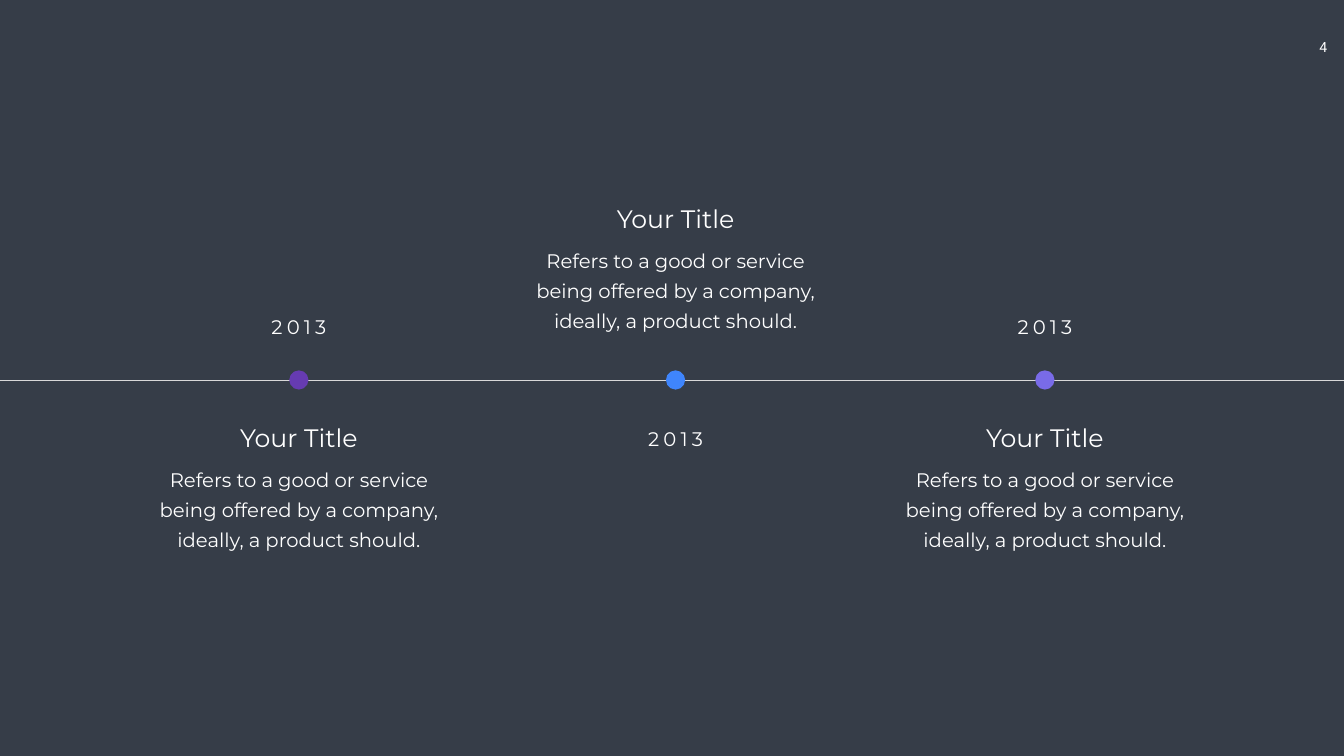
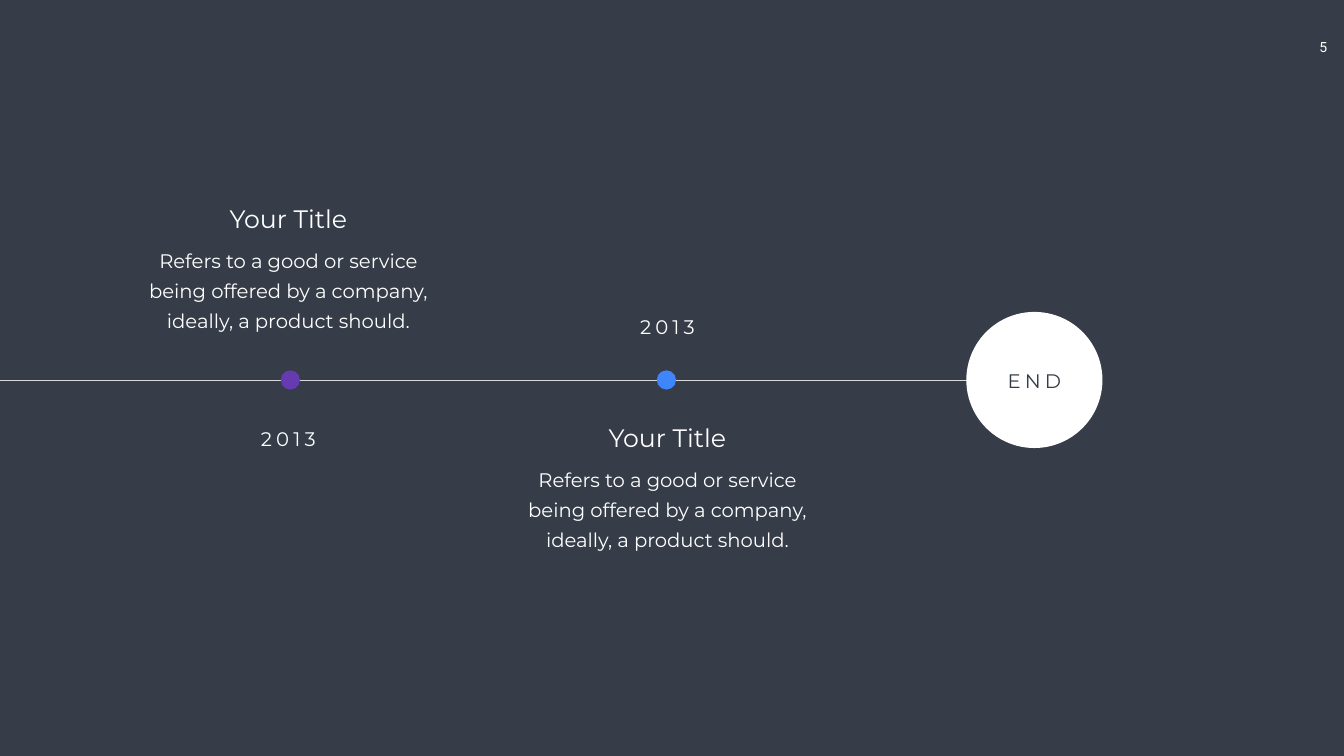
import dataclasses

import lxml.etree
import pptx
import pptx.dml.color
import pptx.enum.shapes
import pptx.enum.text
import pptx.oxml.ns
import pptx.util

Cm = pptx.util.Cm
Pt = pptx.util.Pt
qn = pptx.oxml.ns.qn
color = pptx.dml.color.RGBColor.from_string


@dataclasses.dataclass(frozen=True)
class Theme:
    background: str = "363D48"
    white: str = "FFFFFF"
    axis: str = "D9D9D9"
    purple: str = "663BB2"
    blue: str = "3F85FC"
    violet: str = "796BE8"
    font: str = "Montserrat"
    number_font: str = "Roboto"
    title_size: int = 36
    text_size: int = 28
    number_size: int = 20
    line_spacing: int = 43
    tracking: int = 6


THEME = Theme()
SLIDE_WIDTH, SLIDE_HEIGHT = 67.72, 38.1
FIRST_NUMBER = 4
AXIS_Y = 19.15
DOT_SIZE = 0.97
END_X, END_SIZE = 52.12, 6.86

# Tops of the title, body and year, by the side of the axis the text is on
TOPS = {
    "above": {"title": 10.11, "body": 11.89, "year": 21.36},
    "below": {"title": 21.13, "body": 22.94, "year": 15.72},
}
TITLE = "Your Title"
BODY = ("Refers to a good or service being offered by a company, "
        "ideally, a product should.")
YEAR = "2013"

# Each event: dot centre, text centre, side of the text, dot colour
FIRST_EVENTS = [
    (15.06, 15.06, "below", THEME.purple),
    (34.04, 34.04, "above", THEME.blue),
    (52.65, 52.65, "below", THEME.violet),
]
LAST_EVENTS = [
    (14.63, 14.53, "above", THEME.purple),
    (33.58, 33.63, "below", THEME.blue),
]


def apply_format(target, values):
    for name, value in values.items():
        setattr(target, name, value)


def add_text(slide, text, center_x, top, width, height, size=THEME.text_size,
             font=THEME.font, fill=THEME.white, insets=(0.25, 0.13),
             line_spacing=None, tracking=0, wrap=True):
    """Add a centred text box and return its run."""
    box = slide.shapes.add_textbox(
        Cm(center_x - width / 2), Cm(top), Cm(width), Cm(height))
    side, edge = map(Cm, insets)
    apply_format(box.text_frame, {
        "word_wrap": wrap, "margin_left": side, "margin_right": side,
        "margin_top": edge, "margin_bottom": edge})
    paragraph = box.text_frame.paragraphs[0]
    paragraph.alignment = pptx.enum.text.PP_ALIGN.CENTER
    if line_spacing:
        paragraph.line_spacing = Pt(line_spacing)
    run = paragraph.add_run()
    run.text = text
    apply_format(run.font, {"name": font, "size": Pt(size)})
    run.font.color.rgb = color(fill)
    if tracking:
        run.font._element.set("spc", str(tracking * 100))
    return run


def add_label(slide, text, center_x, top, fill=THEME.white):
    add_text(slide, text, center_x, top, 5.31, 1.45, fill=fill,
             tracking=THEME.tracking)


def add_circle(slide, center_x, size, fill):
    circle = slide.shapes.add_shape(
        pptx.enum.shapes.MSO_SHAPE.OVAL, Cm(center_x - size / 2),
        Cm(AXIS_Y - size / 2), Cm(size), Cm(size))
    circle.shadow.inherit = False
    circle.fill.solid()
    circle.fill.fore_color.rgb = color(fill)
    circle.line.fill.background()


def add_axis(slide, end_x):
    axis = slide.shapes.add_connector(
        pptx.enum.shapes.MSO_CONNECTOR.STRAIGHT,
        Cm(0), Cm(AXIS_Y), Cm(end_x), Cm(AXIS_Y))
    axis.line.color.rgb = color(THEME.axis)
    axis.line.width = Pt(0.5)
    lxml.etree.SubElement(axis._element.spPr, qn("a:effectLst"))


def add_event(slide, dot_x, text_x, side, fill):
    tops = TOPS[side]
    add_circle(slide, dot_x, DOT_SIZE, fill)
    add_text(slide, BODY, text_x, tops["body"], 15.49, 5.08,
             insets=(0.61, 0.3), line_spacing=THEME.line_spacing)
    add_text(slide, TITLE, text_x, tops["title"], 12.22, 1.8,
             size=THEME.title_size)
    add_label(slide, YEAR, text_x, tops["year"])


def add_page_number(slide, number):
    run = add_text(slide, str(number), 66.68, 1.7, 2.08, 1.37,
                   size=THEME.number_size, font=THEME.number_font,
                   insets=(0.51, 0.25), wrap=False)
    # Turn the run into a slide number field
    element = run._r
    field = lxml.etree.Element(qn("a:fld"), {
        "id": "{B6F15528-21DE-4FAA-801E-634DDDAF4B2B}", "type": "slidenum"})
    element.getparent().replace(element, field)
    field.extend(list(element))


def add_timeline(presentation, number, axis_end, events):
    slide = presentation.slides.add_slide(presentation.slide_layouts[6])
    slide.background.fill.solid()
    slide.background.fill.fore_color.rgb = color(THEME.background)
    add_page_number(slide, number)
    add_axis(slide, axis_end)
    for event in events:
        add_event(slide, *event)
    return slide


def main():
    presentation = pptx.Presentation()
    presentation.slide_width = Cm(SLIDE_WIDTH)
    presentation.slide_height = Cm(SLIDE_HEIGHT)
    presentation.element.set("firstSlideNum", str(FIRST_NUMBER))

    # Timeline start
    add_timeline(presentation, FIRST_NUMBER, SLIDE_WIDTH, FIRST_EVENTS)

    # Timeline end
    slide = add_timeline(presentation, FIRST_NUMBER + 1, END_X, LAST_EVENTS)
    add_circle(slide, END_X, END_SIZE, THEME.white)
    add_label(slide, "END", END_X, 18.44, fill=THEME.background)

    presentation.save("out.pptx")


if __name__ == "__main__":
    main()
